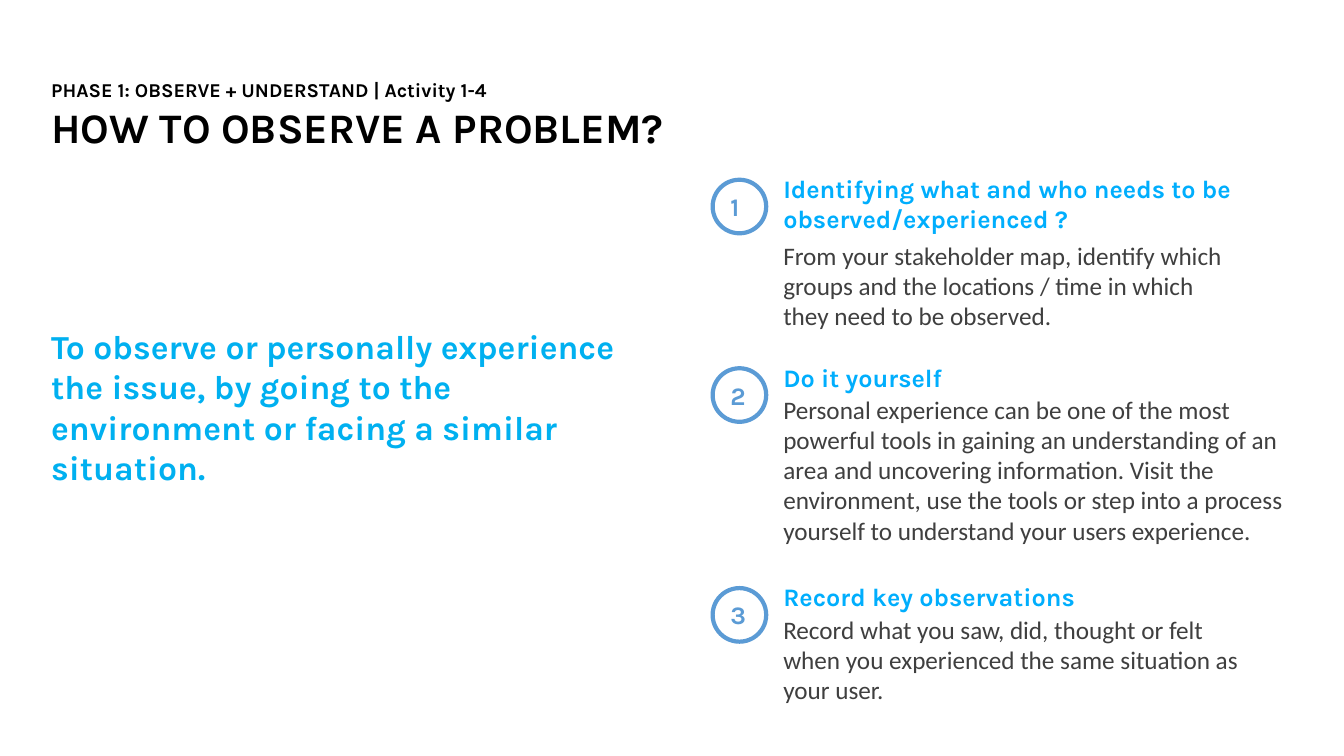
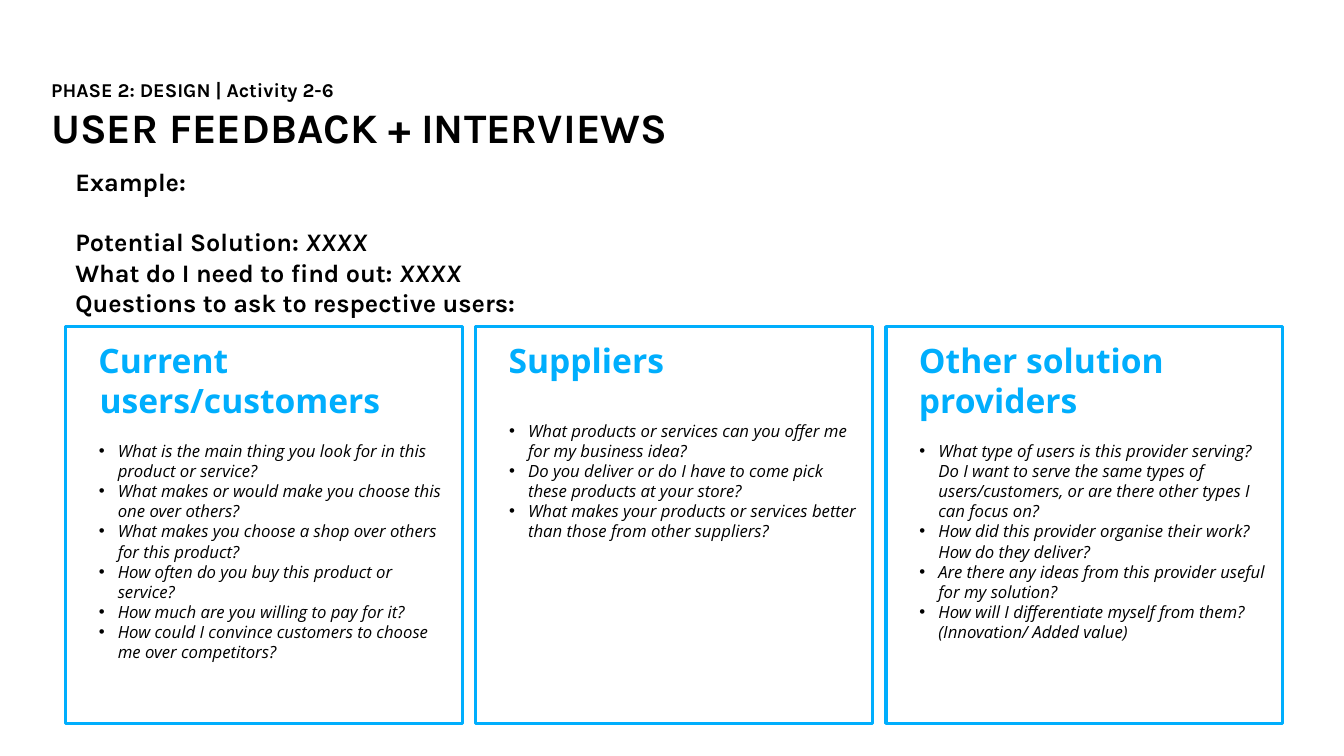
from lxml import etree
from pptx import Presentation
from pptx import util as u
from pptx.dml.color import RGBColor
from pptx.enum import shapes, text
from pptx.oxml.ns import qn

COLORS = {
    "ink": "000000", "body": "3F3F3F", "paper": "FFFFFF",
    "accent": "00AEFD", "statement": "00B0F0", "badge": "5B9BD5",
}
TITLE_FONT, BODY_FONT, CARD_FONT = "Karla", "Calibri", "Open Sans"
LEADING = 1.2

prs = Presentation()
prs.slide_width, prs.slide_height = u.Cm(33.87), u.Cm(19.05)
blank = prs.slide_layouts[6]


def rgb(name):
    return RGBColor.from_string(COLORS[name])


def write(shape, lines, inset):
    """Fill a shape with lines of (text, size, font, colour, bold, italic).

    A text given as a tuple has an italic second part. Returns the paragraphs.
    """
    frame = shape.text_frame
    frame.word_wrap = True
    frame.margin_left = frame.margin_right = u.Cm(inset[0])
    frame.margin_top = frame.margin_bottom = u.Cm(inset[1])
    frame.vertical_anchor = text.MSO_ANCHOR.TOP
    for number, (words, size, font, color, bold, italic) in enumerate(lines):
        paragraph = frame.add_paragraph() if number else frame.paragraphs[0]
        parts = words if isinstance(words, tuple) else (words,)
        for part_number, part in enumerate(parts):
            run = paragraph.add_run()
            run.text = part
            if part_number:
                run.font.italic = True
        paragraph.alignment = text.PP_ALIGN.LEFT
        paragraph.line_spacing = u.Pt(size * LEADING)
        paragraph.font.size = u.Pt(size)
        paragraph.font.name = font
        paragraph.font.bold = bold
        paragraph.font.italic = italic
        paragraph.font.color.rgb = rgb(color)
    return frame.paragraphs


# Both slides open with the phase line and the title
headers = [
    ("PHASE 1: OBSERVE + UNDERSTAND | Activity 1-4", "HOW TO OBSERVE A PROBLEM?"),
    ("PHASE 2: DESIGN | Activity 2-6", "USER FEEDBACK + INTERVIEWS"),
]
slides = []
for phase, title in headers:
    slide = prs.slides.add_slide(blank)
    header = slide.shapes.add_textbox(u.Cm(1.04), u.Cm(1.83), u.Cm(25.48), u.Cm(2.24))
    write(header, [(phase, 14, TITLE_FONT, "ink", True, False),
                   (title, 30, TITLE_FONT, "ink", True, False)], (0.25, 0.13))
    slides.append(slide)
observe, feedback = slides

# Slide 1: statement and three numbered steps
statement = observe.shapes.add_textbox(u.Cm(1.04), u.Cm(8.08), u.Cm(15.62), u.Cm(6.3))
write(statement, [(
    "To observe or personally experience the issue, by going to the environment "
    "or facing a similar situation.", 24, TITLE_FONT, "statement", True, False)], (0.25, 0.13))

# heading top, body top, body width, heading, body
steps = [
    (4.24, 5.92, 11.79, "Identifying what and who needs to be observed/experienced ?",
     "From your stakeholder map, identify which groups and the locations / time in which "
     "they need to be observed."),
    (8.99, 9.8, 13.61, "Do it yourself",
     "Personal experience can be one of the most powerful tools in gaining an understanding "
     "of an area and uncovering information. Visit the environment, use the tools or step "
     "into a process yourself to understand your users experience."),
    (14.53, 15.34, 12.22, "Record key observations",
     "Record what you saw, did, thought or felt when you experienced the same situation as "
     "your user."),
]
for number, (heading_top, body_top, body_width, heading, body) in enumerate(steps, 1):
    step_heading = observe.shapes.add_textbox(
        u.Cm(19.61), u.Cm(heading_top), u.Cm(13.61), u.Cm(1.07))
    write(step_heading, [(heading, 18, TITLE_FONT, "accent", True, False)], (0.13, 0.13))
    step_body = observe.shapes.add_textbox(
        u.Cm(19.61), u.Cm(body_top), u.Cm(body_width), u.Cm(1.07))
    write(step_body, [(body, 18, BODY_FONT, "body", False, False)], (0.13, 0.13))
    badge = observe.shapes.add_shape(
        shapes.MSO_SHAPE.OVAL, u.Cm(17.96), u.Cm(heading_top + 0.29), u.Cm(1.35), u.Cm(1.35))
    badge.shadow.inherit = False
    badge.fill.solid()
    badge.fill.fore_color.rgb = rgb("paper")
    badge.line.color.rgb = rgb("badge")
    badge.line.width = u.Pt(3)
    write(badge, [(str(number), 18, TITLE_FONT, "badge", True, False)], (0.25, 0.25))
    badge.text_frame.vertical_anchor = text.MSO_ANCHOR.MIDDLE

# Slide 2: example and three question cards
example_lines = [
    "Example:",
    ("Potential Solution: ", "XXXX"),
    ("What do I need to find out: ", "XXXX"),
    "Questions to ask to respective users:",
]
example = feedback.shapes.add_textbox(u.Cm(1.65), u.Cm(3.94), u.Cm(22.56), u.Cm(2.92))
example_paragraphs = write(
    example, [(line, 18, TITLE_FONT, "ink", True, False) for line in example_lines], (0.25, 0.25))
example_paragraphs[0].space_after = u.Pt(18 * LEADING)

# heading lines, gap below the heading in points, questions
cards = [
    (["Current users/customers"], 14.4, [
        "What is the main thing you look for in this product or service?",
        "What makes or would make you choose this one over others?",
        "What makes you choose a shop over others for this product?",
        "How often do you buy this product or service?",
        "How much are you willing to pay for it?",
        "How could I convince customers to choose me over competitors?",
    ]),
    (["Suppliers"], 28.8, [
        "What products or services can you offer me for my business idea?",
        "Do you deliver or do I have to come pick these products at your store?",
        "What makes your products or services better than those from other suppliers?",
    ]),
    (["Other solution", "providers"], 14.4, [
        "What type of users is this provider serving? Do I want to serve the same types of "
        "users/customers, or are there other types I can focus on?",
        "How did this provider organise their work? How do they deliver?",
        "Are there any ideas from this provider useful for my solution?",
        "How will I differentiate myself from them? (Innovation/ Added value)",
    ]),
]
CARD_SIZE, CARD_PITCH = 10, 10.34
for column, (heading_lines, gap, questions) in enumerate(cards):
    card = feedback.shapes.add_shape(
        shapes.MSO_SHAPE.RECTANGLE, u.Cm(1.65 + column * CARD_PITCH), u.Cm(8.23),
        u.Cm(CARD_SIZE), u.Cm(CARD_SIZE))
    card.shadow.inherit = False
    card.fill.background()
    card.line.color.rgb = rgb("accent")
    card.line.width = u.Pt(2.25)
    lines = [(line, 24, CARD_FONT, "accent", True, False) for line in heading_lines]
    lines += [(question, 12, CARD_FONT, "ink", False, True) for question in questions]
    paragraphs = write(card, lines, (0.33, 0.33))
    paragraphs[len(heading_lines) - 1].space_after = u.Pt(gap)
    for row, paragraph in enumerate(paragraphs):
        is_question = row >= len(heading_lines)
        margin, indent = (0.99, -0.48) if is_question else (0.53, -0.03)
        properties = paragraph._p.get_or_add_pPr()
        properties.set("marL", str(u.Cm(margin)))
        properties.set("indent", str(u.Cm(indent)))
        if is_question:
            bullet_color = etree.Element(qn("a:buClr"))
            etree.SubElement(bullet_color, qn("a:srgbClr"), val=COLORS["ink"])
            bullet_font = etree.Element(qn("a:buFont"), typeface="Arial")
            bullet = etree.Element(qn("a:buChar"), char="•")
            run_defaults = properties.find(qn("a:defRPr"))
            for element in (bullet_color, bullet_font, bullet):
                run_defaults.addprevious(element)

prs.save("out.pptx")
